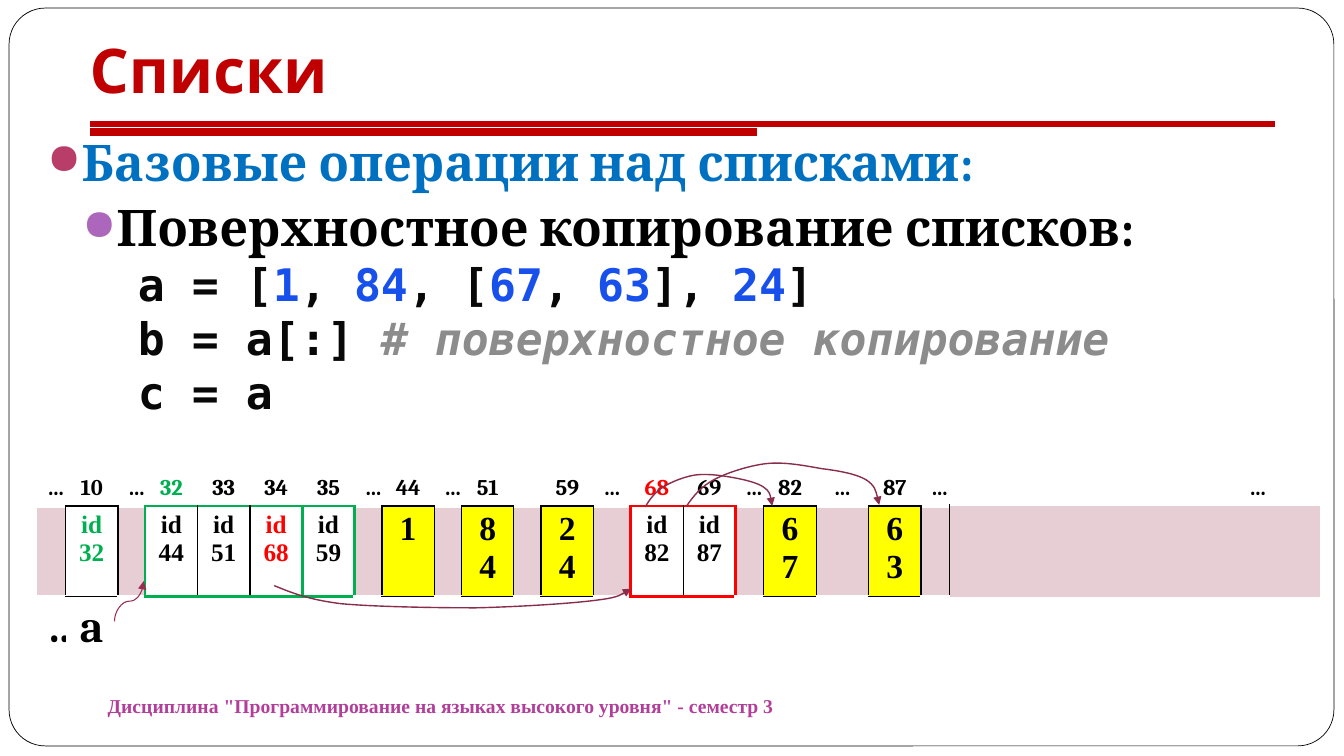
from dataclasses import dataclass

from lxml.etree import SubElement
from pptx import Presentation
from pptx.dml.color import RGBColor
from pptx.enum.shapes import MSO_CONNECTOR as Link, MSO_SHAPE as Preset
from pptx.enum.text import MSO_ANCHOR as Anchor, PP_ALIGN as Align
from pptx.oxml import parse_xml
from pptx.oxml.ns import nsdecls, qn
from pptx.util import Pt

PX = 9144
SERIF, MONO, TIMES, SANS = "Cambria", "DejaVu Sans Mono", "Times New Roman", "Cabin"
BLACK, WHITE, RED, GREEN = "000000", "FFFFFF", "FF0000", "00B050"
CRIMSON, CODE, NUMBER = "C00000", "080808", "1750EB"
YELLOW, BAND, ARROW = "FFFF00", "E6CED4", "882D4D"
THIN, GREEN_FRAME, RED_FRAME, WHITE_EDGE = (BLACK, 1), (GREEN, 2.25), (RED, 2.25), (WHITE, 3)


def rgb(color):
    return RGBColor.from_string(color)


@dataclass
class Slot:
    """One column of the memory strip; a slot without a frame is a gap."""
    address: str = ""
    value: str = ""
    frame: tuple = None
    tint: str = BLACK
    ink: str = BLACK
    joined: bool = False
    width: int = 52

    @property
    def is_number(self):
        return bool(self.value) and "\n" not in self.value


def gap(width=27, label="…"):
    return Slot(label, width=width)


class Slide:
    """Draws the elements of the current slide in one style."""

    def __init__(self, width, height):
        self.deck = Presentation()
        self.deck.slide_width, self.deck.slide_height = width * PX, height * PX
        self.page = self.deck.slides.add_slide(self.deck.slide_layouts[6])
        self.shapes = self.page.shapes

    def card(self, *area, radius):
        box = self.shapes.add_shape(Preset.ROUNDED_RECTANGLE, *(n * PX for n in area))
        box.adjustments[0] = radius
        box.shadow.inherit = False
        box.fill.solid()
        box.fill.fore_color.rgb = rgb(WHITE)
        self.stroke(box, BLACK, 0.5)

    def stroke(self, shape, color, width, arrow=False):
        shape.line.color.rgb = rgb(color)
        shape.line.width = Pt(width)
        if arrow:
            SubElement(shape.line._get_or_add_ln(), qn("a:tailEnd"), type="triangle")

    def link(self, kind, ends, color, width, arrow=False, turn=0):
        line = self.shapes.add_connector(kind, *(n * PX for n in ends))
        self.stroke(line, color, width, arrow)
        SubElement(line._element.spPr, qn("a:effectLst"))
        if turn:
            line._element.spPr.find(qn("a:xfrm")).set("rot", str(turn * 60000))

    def curve(self, start, *points):
        """Draws an arrow through cubic segments, three points to each."""
        builder = self.shapes.build_freeform(*start, scale=PX)
        builder.add_line_segments(points, close=False)
        shape = builder.convert_to_shape()
        steps = list(shape._element.iter(qn("a:lnTo")))
        for first, second, third in zip(steps[::3], steps[1::3], steps[2::3]):
            first.tag = qn("a:cubicBezTo")
            for step in (second, third):
                first.append(step[0])
                step.getparent().remove(step)
        shape.shadow.inherit = False
        shape.fill.background()
        self.stroke(shape, ARROW, 1, arrow=True)

    def text_box(self, *area, anchor=Anchor.TOP, bottom=5):
        frame = self.shapes.add_textbox(*(n * PX for n in area)).text_frame
        frame.word_wrap = True
        frame.vertical_anchor = anchor
        frame.margin_bottom = bottom * PX
        return frame

    def para(self, frame, spans, size, font, before=0, indent=(0, 0), bullet=None, align=None):
        """Fills the first empty paragraph or adds one; spans are (text, color)."""
        last = frame.paragraphs[-1]
        para = frame.add_paragraph() if last.runs else last
        para.space_before = Pt(before)
        para.alignment = align
        props = para._p.get_or_add_pPr()
        props.set("marL", str(indent[0] * PX))
        props.set("indent", str(indent[1] * PX))
        if bullet:
            color = SubElement(props, qn("a:buClr"))
            SubElement(color, qn("a:srgbClr"), val=bullet)
            SubElement(props, qn("a:buSzPct"), val="85000")
            SubElement(props, qn("a:buChar"), char="●")
        for text, color in spans:
            span = para.add_run()
            span.text = text
            span.font.size, span.font.name, span.font.bold = Pt(size), font, True
            span.font.color.rgb = rgb(color)
            span.font.italic = text.startswith("#")

    def cell(self, cell, lines, color, size, font, fill, edges, anchor=Anchor.TOP):
        cell.vertical_anchor = anchor
        cell.fill.solid()
        cell.fill.fore_color.rgb = rgb(fill)
        for line in lines.split("\n") if lines else ():
            self.para(cell.text_frame, [(line, color)], size, font, align=Align.CENTER)
        drawn = [(side, edges[side]) for side in "LRTB" if edges.get(side)]
        for place, (side, (tone, width)) in enumerate(drawn):
            cell._tc.get_or_add_tcPr().insert(place, parse_xml(
                f'<a:ln{side} {nsdecls("a")} w="{Pt(width)}"><a:solidFill>'
                f'<a:srgbClr val="{tone}"/></a:solidFill></a:ln{side}>'))

    def memory(self, left, top, row_height, slots, names):
        """Draws the rows of addresses, values and variable names."""
        width = sum(slot.width for slot in slots)
        area = (left, top, width, 3 * row_height)
        table = self.shapes.add_table(3, len(slots), *(n * PX for n in area)).table
        table.first_row = table.horz_banding = False
        style = table._tbl.tblPr.find(qn("a:tableStyleId"))
        style.text = "{2D5ABB26-0587-4C30-8999-92F81FD0307C}"
        framed = [n for n, slot in enumerate(slots) if slot.frame]
        dividers = [None]
        for before, after in zip(slots, slots[1:]):
            dividers.append(THIN if after.joined else after.frame or before.frame)
        dividers.append(None)
        for n, slot in enumerate(slots):
            table.columns[n].width = slot.width * PX
            rim = slot.frame or (WHITE_EDGE if n <= framed[-1] + 1 else None)
            fill = BAND
            if slot.frame:
                fill = YELLOW if slot.is_number else WHITE
            sides = {"L": dividers[n], "R": dividers[n + 1], "T": rim, "B": slot.frame}
            self.cell(table.cell(0, n), slot.address, slot.tint, 16, SERIF, WHITE,
                      {"B": rim}, Anchor.BOTTOM)
            self.cell(table.cell(1, n), slot.value, slot.ink, 24 if slot.is_number else 18,
                      TIMES, fill, sides)
            self.cell(table.cell(2, n), names.get(n, ""), BLACK, 32, SERIF, WHITE,
                      {"T": slot.frame})
        for row in table.rows:
            row.height = row_height * PX


def main():
    slide = Slide(1333, 750)
    slide.card(9, 8, 1314, 732, radius=0.049)
    slide.link(Link.STRAIGHT, (89, 123, 1265, 123), CRIMSON, 4.5)
    slide.link(Link.STRAIGHT, (89, 131, 751, 131), CRIMSON, 6)

    body = slide.text_box(37, 125, 1267, 550)
    slide.para(body, [("Базовые операции над списками:", "0070C0")], 36, SERIF,
               before=5.8, indent=(30, -30), bullet="B83D68")
    slide.para(body, [("Поверхностное копирование списков:", BLACK)], 36, SERIF,
               before=3.7, indent=(60, -25), bullet="AC66BB")
    code = [
        [("a = [", CODE), ("1", NUMBER), (", ", CODE), ("84", NUMBER), (", [", CODE),
         ("67", NUMBER), (", ", CODE), ("63", NUMBER), ("], ", CODE), ("24", NUMBER), ("]", CODE)],
        [("b = a[:] ", CODE), ("# поверхностное копирование", "8C8C8C")],
        [("c = a", CODE)],
    ]
    for line in code:
        slide.para(body, line, 32, MONO, indent=(90, 0))

    title = slide.text_box(79, 14, 1197, 101, anchor=Anchor.BOTTOM, bottom=10)
    slide.para(title, [("Списки", CRIMSON)], 44, SANS)
    footer = slide.text_box(97, 675, 740, 50, anchor=Anchor.MIDDLE)
    slide.para(footer, [('Дисциплина "Программирование на языках высокого уровня" - семестр 3',
                         "B13F9A")], 14, TIMES)

    slots = [
        gap(28), Slot("10", "id\n32", THIN, ink=GREEN),
        gap(), Slot("32", "id\n44", GREEN_FRAME, tint=GREEN),
        Slot("33", "id\n51", GREEN_FRAME, joined=True),
        Slot("34", "id\n68", GREEN_FRAME, ink=RED, joined=True),
        Slot("35", "id\n59", GREEN_FRAME),
        gap(), Slot("44", "1", THIN), gap(), Slot("51", "84", THIN),
        gap(label=""), Slot("59", "24", THIN),
        gap(37), Slot("68", "id\n82", RED_FRAME, tint=RED),
        Slot("69", "id\n87", RED_FRAME, joined=True),
        gap(28), Slot("82", "67", THIN), gap(52), Slot("87", "63", THIN), gap(28),
        *(gap(width, "") for width in (52, 28, 52, 52, 52, 52)), gap(28), gap(52, ""),
    ]
    slide.memory(37, 430, 72, slots, {0: "…", 1: "a"})

    slide.link(Link.CURVE, (148, 611, 108, 582), "982C52", 0.75, arrow=True, turn=90)
    slide.curve((272, 581), (289, 588), (306, 595), (339, 599), (373, 602), (431, 603),
                (472, 603), (514, 602), (562, 599), (587, 596), (613, 593), (620, 588), (626, 584))
    slide.curve((681, 502), (688, 492), (695, 483), (708, 476), (721, 469), (743, 462),
                (760, 460), (778, 458), (798, 462), (815, 465), (831, 467), (849, 470),
                (859, 476), (868, 482), (870, 491), (872, 501))
    slide.curve((640, 503), (644, 496), (649, 489), (658, 483), (666, 478), (681, 472),
                (692, 471), (704, 470), (717, 472), (728, 474), (739, 476), (751, 479),
                (757, 483), (764, 488), (765, 495), (766, 502))
    slide.deck.save("out.pptx")


if __name__ == "__main__":
    main()
